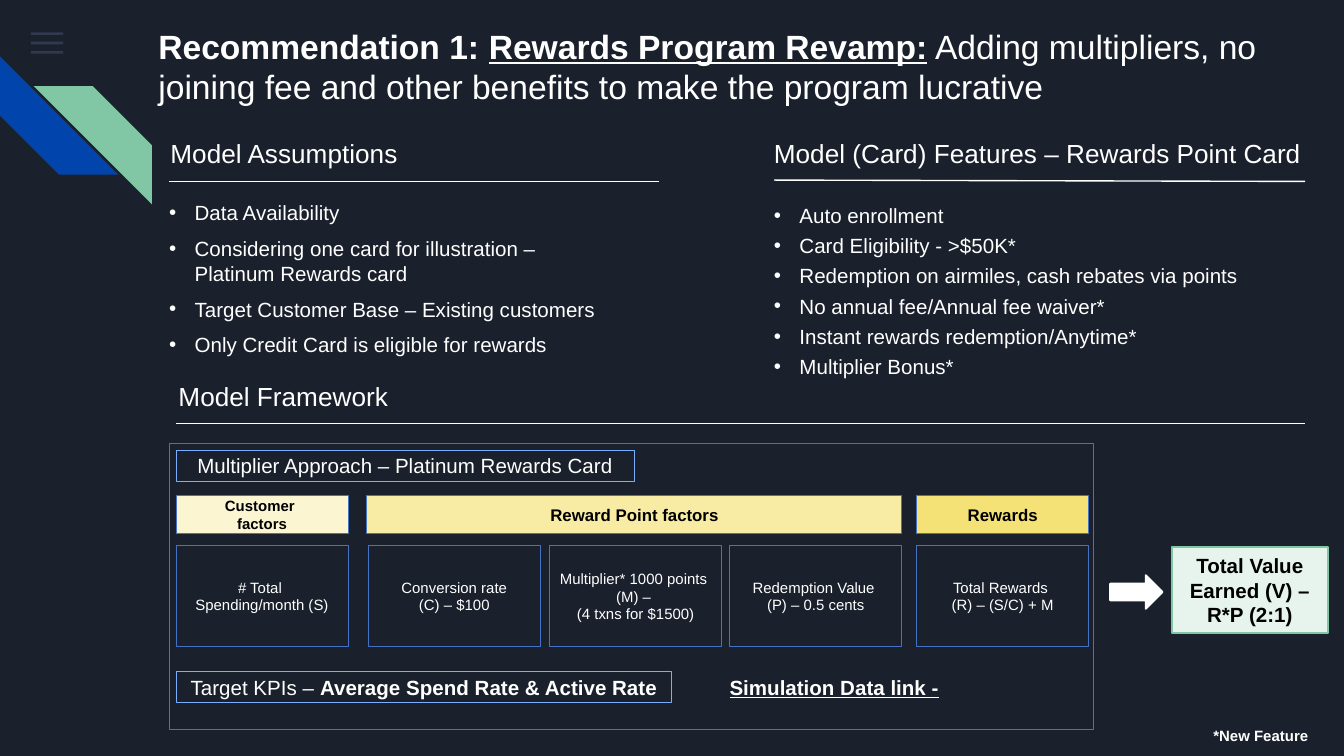
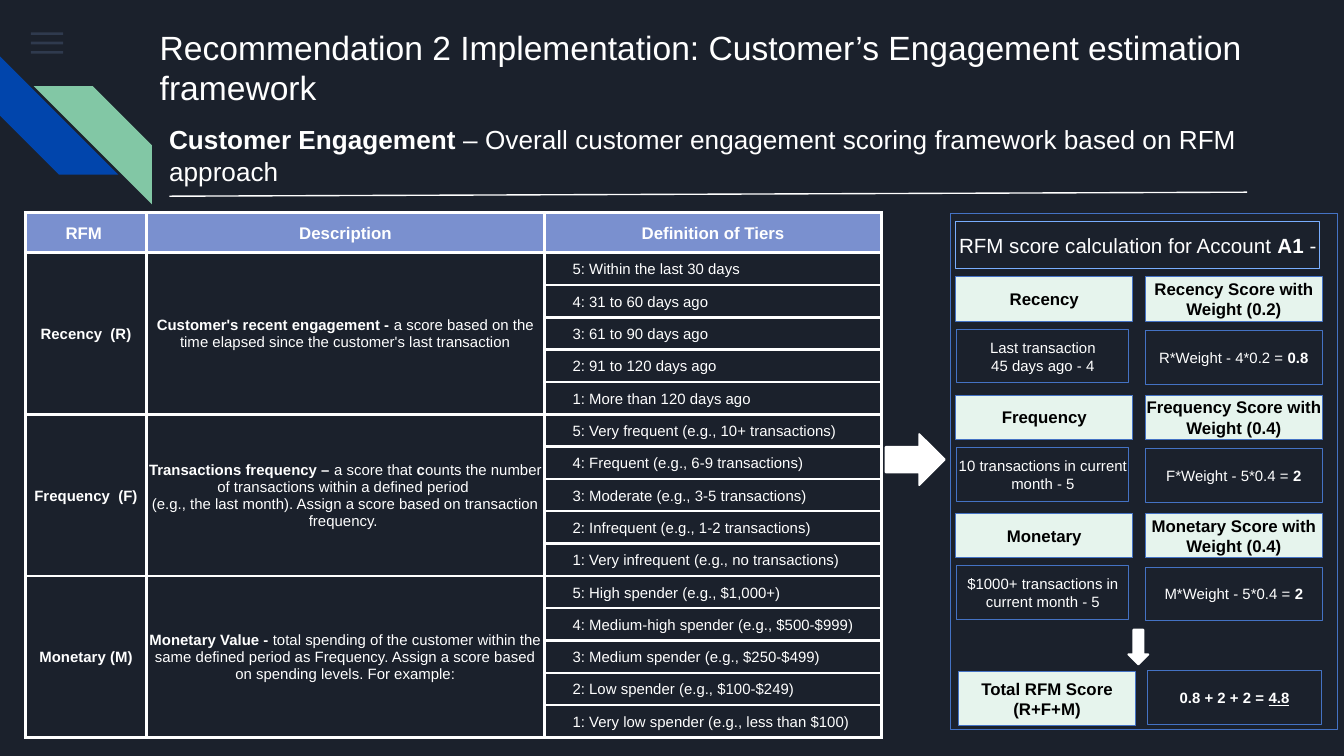
from dataclasses import dataclass
from typing import NamedTuple, Optional, Sequence, Union

from lxml.etree import SubElement
from pptx import Presentation
from pptx.dml.color import RGBColor
from pptx.enum.shapes import MSO_CONNECTOR, MSO_SHAPE as Shape
from pptx.enum.text import MSO_ANCHOR as Anchor, PP_ALIGN as Align
from pptx.oxml.ns import qn
from pptx.util import Inches, Pt


@dataclass(frozen=True)
class Theme:
    """Colours, font and type sizes shared by the slides."""
    font: str = "Arial"
    background: str = "1B212C"
    white: str = "FFFFFF"
    black: str = "000000"
    menu: str = "55688B"
    blue: str = "0145AC"
    green: str = "82C7A5"
    mint: str = "E6F4ED"
    border: str = "4472C4"
    bright_border: str = "79AEFE"
    table_header: str = "7A90CF"
    yellows: tuple = ("FCF5D1", "F8EBA3", "F5E276")
    title: int = 18
    heading: int = 14
    body: int = 11
    label: int = 9
    small: int = 8


class Box(NamedTuple):
    left: float
    top: float
    width: float
    height: float


class Run(NamedTuple):
    text: str
    bold: bool = False
    underline: bool = False


class Style(NamedTuple):
    size: int
    color: str = "FFFFFF"
    bold: bool = False
    align: Align = Align.LEFT


class Factor(NamedTuple):
    left: float
    text: str


class Metric(NamedTuple):
    name: str
    weight: str
    evidence: str
    formula: str
    score: str


class Tier(NamedTuple):
    name: str
    description: Sequence[Sequence[Run]]
    levels: Sequence[str]


Text = Union[str, Sequence[Sequence[Run]]]
T = Theme()
NOTE = Style(T.small, align=Align.CENTER)
BANNER = Style(T.body, align=Align.CENTER)
LABEL = Style(T.label, T.black, True, Align.CENTER)
HEADER = Style(T.label, bold=True, align=Align.CENTER)

FACTORS = [
    Factor(1.31, "# Total \nSpending/month (S)"),
    Factor(2.74, "Conversion rate\n(C) – $100"),
    Factor(4.09, "Multiplier* 1000 points \n(M) – \n(4 txns for $1500)"),
    Factor(5.43, "Redemption Value \n(P) – 0.5 cents"),
    Factor(6.82, "Total Rewards \n(R) – (S/C) + M"),
]
ASSUMPTIONS = """Data Availability
Considering one card for illustration – Platinum Rewards card
Target Customer Base – Existing customers
Only Credit Card is eligible for rewards"""
FEATURES = """Auto enrollment
Card Eligibility - >$50K*
Redemption on airmiles, cash rebates via points
No annual fee/Annual fee waiver*
Instant rewards redemption/Anytime*
Multiplier Bonus*"""
METRICS = [
    Metric("Recency", "0.2", "Last transaction\n45 days ago - 4", "R*Weight - 4*0.2 = ", "0.8"),
    Metric("Frequency", "0.4", "10 transactions in current month - 5", "F*Weight - 5*0.4 = ", "2"),
    Metric("Monetary", "0.4", "$1000+ transactions in current month - 5",
           "M*Weight - 5*0.4 = ", "2"),
]
TIERS = [
    Tier("Recency  (R)",
         [[Run("Customer's recent engagement - ", True),
           Run("a score based on the time elapsed since the customer's last transaction")]],
         ["Within the last 30 days", "31 to 60 days ago", "61 to 90 days ago",
          "91 to 120 days ago", "More than 120 days ago"]),
    Tier("Frequency  (F)",
         [[Run("Transactions frequency – ", True), Run("a score that"), Run(" c", True),
           Run("ounts the number of transactions within a defined period ")],
          [Run("(e.g., the last month). Assign a score based on transaction frequency. ")]],
         ["Very frequent (e.g., 10+ transactions)", "Frequent (e.g., 6-9 transactions)",
          "Moderate (e.g., 3-5 transactions)", "Infrequent (e.g., 1-2 transactions)",
          "Very infrequent (e.g., no transactions)"]),
    Tier("Monetary (M)",
         [[Run("Monetary Value -", True),
           Run(" total spending of the customer within the same defined period as Frequency. "
               "Assign a score based on spending levels. For example:")]],
         ["High spender (e.g., $1,000+)", "Medium-high spender (e.g., $500-$999)",
          "Medium spender (e.g., $250-$499)", "Low spender (e.g., $100-$249)",
          "Very low spender (e.g., less than $100)"]),
]


def rgb(color: str) -> RGBColor:
    return RGBColor.from_string(color)


def emu(box: Box) -> list:
    return [Inches(v) for v in box]


def write(tf, text: Text, style: Style) -> None:
    lines = [[Run(t)] for t in text.split("\n")] if isinstance(text, str) else text
    for i, runs in enumerate(lines):
        p = tf.add_paragraph() if i else tf.paragraphs[0]
        p.alignment = style.align
        for run in runs:
            r = p.add_run()
            r.text = run.text
            r.font.name = T.font
            r.font.size = Pt(style.size)
            r.font.bold = style.bold or run.bold
            r.font.underline = run.underline
            r.font.color.rgb = rgb(style.color)


def set_margins(target, margin: float) -> None:
    target.margin_left = target.margin_right = Inches(margin)
    target.margin_top = target.margin_bottom = Inches(margin)


def add_text(slide, box: Box, text: Text, style: Style):
    tf = slide.shapes.add_textbox(*emu(box)).text_frame
    tf.word_wrap = True
    write(tf, text, style)
    return tf


def add_bullets(slide, box: Box, text: str, gap: int) -> None:
    tf = add_text(slide, box, text, Style(T.body))
    for p in tf.paragraphs:
        pPr = p._p.get_or_add_pPr()
        pPr.set("marL", str(Inches(0.19)))
        pPr.set("indent", str(-Inches(0.19)))
        SubElement(SubElement(pPr, qn("a:buClr")), qn("a:srgbClr"), val=T.white)
        SubElement(pPr, qn("a:buFont"), typeface=T.font)
        SubElement(pPr, qn("a:buChar"), char="•")
        p.space_after = Pt(gap)


def add_shape(slide, kind: Shape, box: Box, fill: Optional[str] = None,
              line: Optional[str] = None, width: float = 0.5):
    sp = slide.shapes.add_shape(kind, *emu(box))
    sp.shadow.inherit = False
    if fill:
        sp.fill.solid()
        sp.fill.fore_color.rgb = rgb(fill)
    else:
        sp.fill.background()
    if line:
        sp.line.color.rgb = rgb(line)
        sp.line.width = Pt(width)
    else:
        sp.line.fill.background()
    return sp


def add_box(slide, box: Box, text: Text, style: Style, fill: Optional[str] = None,
            line: str = T.border, width: float = 0.5, margin: float = 0) -> None:
    tf = add_shape(slide, Shape.RECTANGLE, box, fill, line, width).text_frame
    tf.word_wrap = True
    tf.vertical_anchor = Anchor.MIDDLE
    set_margins(tf, margin)
    write(tf, text, style)


def add_arrow(slide, box: Box, rotation: float = 0) -> None:
    sp = add_shape(slide, Shape.RIGHT_ARROW, box, T.white, T.white, 1)
    sp.rotation = rotation


def add_rule(slide, x1: float, y1: float, x2: float, y2: float) -> None:
    cx = slide.shapes.add_connector(MSO_CONNECTOR.STRAIGHT, *[Inches(v) for v in (x1, y1, x2, y2)])
    cx.line.color.rgb = rgb(T.white)
    cx.line.width = Pt(0.75)
    SubElement(cx._element.spPr, qn("a:effectLst"))


def new_slide(prs, title_box: Box, title: Text):
    slide = prs.slides.add_slide(prs.slide_layouts[6])
    slide.background.fill.solid()
    slide.background.fill.fore_color.rgb = rgb(T.background)
    for i in range(3):
        bar = add_shape(slide, Shape.RECTANGLE, Box(0.23, 0.24 + 0.07 * i, 0.24, 0.02), T.menu)
        SubElement(bar._element.spPr.find(".//" + qn("a:srgbClr")), qn("a:alpha"), val="36000")
    blue = add_shape(slide, Shape.DIAGONAL_STRIPE, Box(0, 0.42, 0.88, 0.88), T.blue)
    blue.rotation = 270
    green = add_shape(slide, Shape.DIAGONAL_STRIPE, Box(0.25, 0.64, 0.88, 0.88), T.green)
    green._element.spPr.xfrm.set("flipH", "1")
    set_margins(add_text(slide, title_box, title, Style(T.title)), 0.1)
    return slide


def fill_cell(cell, text: Text, style: Style, fill: Optional[str] = None,
              indent: float = 0) -> None:
    set_margins(cell, 0.01)
    cell.margin_bottom = 0
    cell.vertical_anchor = Anchor.MIDDLE
    write(cell.text_frame, text, style)
    if indent:
        cell.text_frame.paragraphs[0]._p.get_or_add_pPr().set("marL", str(Inches(indent)))
    if fill:
        cell.fill.solid()
        cell.fill.fore_color.rgb = rgb(fill)


def border_cell(cell) -> None:
    tcPr = cell._tc.get_or_add_tcPr()
    for i, side in enumerate(("lnL", "lnR", "lnT", "lnB")):
        ln = SubElement(tcPr, qn("a:" + side), w=str(Pt(1.5)))
        SubElement(SubElement(ln, qn("a:solidFill")), qn("a:srgbClr"), val=T.white)
        tcPr.insert(i, ln)


def add_tier_table(slide) -> None:
    box = Box(0.19, 1.58, 6.37, 3.91)
    table = slide.shapes.add_table(16, 3, *emu(box)).table
    table.first_row = table.horz_banding = False
    for col, width in zip(table.columns, (0.9, 2.96, 2.51)):
        col.width = Inches(width)
    for i, row in enumerate(table.rows):
        row.height = Inches((box.height - 0.3) / 15 if i else 0.3)
    for cell in table.iter_cells():
        cell.fill.background()
        border_cell(cell)
    for c, name in enumerate(("RFM ", "Description", "Definition of Tiers")):
        fill_cell(table.cell(0, c), name, HEADER, T.table_header)
    for t, tier in enumerate(TIERS):
        top = 1 + 5 * t
        for c in range(2):
            table.cell(top, c).merge(table.cell(top + 4, c))
        fill_cell(table.cell(top, 0), [[Run(tier.name, True)]], NOTE)
        fill_cell(table.cell(top, 1), tier.description, NOTE)
        for i, level in enumerate(tier.levels):
            fill_cell(table.cell(top + i, 2), f"{5 - i}: {level}", Style(T.small), indent=0.2)


def build_rewards(prs) -> None:
    slide = new_slide(prs, Box(1.08, 0.09, 8.85, 0.78), [[
        Run("Recommendation 1: ", True), Run("Rewards Program Revamp:", True, True),
        Run(" Adding multipliers, no joining fee and other benefits to make the program lucrative")]])
    for left, top, width, heading in ((1.17, 0.97, 3.63, "Model Assumptions"),
                                      (5.66, 0.97, 4.23, "Model (Card) Features – Rewards Point Card"),
                                      (1.23, 2.78, 3.63, "Model Framework")):
        add_text(slide, Box(left, top, width, 0.34), heading, Style(T.heading))
    for ends in ((1.26, 1.35, 4.9, 1.35), (5.76, 1.34, 9.71, 1.35), (1.31, 3.15, 9.71, 3.15)):
        add_rule(slide, *ends)
    add_bullets(slide, Box(1.16, 1.44, 3.56, 1.28), ASSUMPTIONS, 6)
    add_bullets(slide, Box(5.66, 1.46, 3.89, 1.42), FEATURES, 3)
    add_text(slide, Box(8.93, 5.36, 1.07, 0.24), "*New Feature", Style(T.small, bold=True))

    add_shape(slide, Shape.RECTANGLE, Box(1.26, 3.3, 6.88, 2.13), line=T.border)
    add_box(slide, Box(1.31, 3.35, 3.41, 0.23), "Multiplier Approach – Platinum Rewards Card",
            BANNER, line=T.bright_border)
    groups = ((1.31, 1.28, "Customer \nfactors", T.small),
              (2.73, 3.98, "Reward Point factors", T.label), (6.82, 1.28, "Rewards", T.label))
    for (left, width, name, size), fill in zip(groups, T.yellows):
        add_box(slide, Box(left, 3.69, width, 0.28), name, LABEL._replace(size=size), fill)
    for factor in FACTORS:
        add_box(slide, Box(factor.left, 4.06, 1.28, 0.75), factor.text, NOTE)
    add_box(slide, Box(1.31, 5, 3.69, 0.23),
            [[Run("Target KPIs – "), Run("Average Spend Rate & Active Rate", True)]],
            BANNER, line=T.bright_border)
    add_text(slide, Box(5.33, 4.97, 2.76, 0.29), [[Run("Simulation Data link -", True, True)]],
             Style(T.body))
    add_arrow(slide, Box(8.26, 4.28, 0.39, 0.25))
    add_box(slide, Box(8.72, 4.07, 1.16, 0.64), "Total Value Earned (V) – R*P (2:1)",
            LABEL._replace(size=T.body), T.mint, T.green, 1, 0.04)


def build_engagement(prs) -> None:
    slide = new_slide(prs, Box(1.09, 0.1, 9.05, 0.7),
                      "Recommendation 2 Implementation: Customer’s Engagement estimation framework")
    add_text(slide, Box(1.16, 0.87, 8.55, 0.57), [[
        Run("Customer Engagement", True),
        Run(" – Overall customer engagement scoring framework based on RFM approach")]],
        Style(T.heading))
    add_rule(slide, 1.26, 1.46, 9.28, 1.43)
    add_tier_table(slide)
    add_arrow(slide, Box(6.59, 3.23, 0.44, 0.38))

    add_shape(slide, Shape.RECTANGLE, Box(7.07, 1.59, 2.88, 3.84), line=T.border)
    add_box(slide, Box(7.11, 1.65, 2.71, 0.35),
            [[Run("RFM score calculation for Account "), Run("A1 ", True), Run("-")]],
            BANNER, line=T.bright_border)
    for i, m in enumerate(METRICS):
        top = 2.06 + 0.88 * i
        add_box(slide, Box(7.11, top, 1.32, 0.33), m.name, LABEL, T.mint)
        add_box(slide, Box(8.52, top, 1.32, 0.33), f"{m.name} Score with Weight ({m.weight})",
                LABEL, T.mint)
        add_box(slide, Box(7.12, top + 0.39, 1.28, 0.4), m.evidence, NOTE)
        add_box(slide, Box(8.52, top + 0.4, 1.32, 0.4), [[Run(m.formula), Run(m.score, True)]], NOTE)
    add_arrow(slide, Box(8.34, 4.74, 0.26, 0.15), 90)
    add_box(slide, Box(7.13, 5, 1.32, 0.4), "Total RFM Score (R+F+M)", LABEL, T.mint)
    add_box(slide, Box(8.54, 4.99, 1.29, 0.4),
            [[Run("0.8 + 2 + 2 = ", True), Run("4.8", True, True)]], NOTE)


def main() -> None:
    prs = Presentation()
    prs.slide_width = Inches(10)
    prs.slide_height = prs.slide_width * 9 // 16
    build_rewards(prs)
    build_engagement(prs)
    prs.save("out.pptx")


if __name__ == "__main__":
    main()
